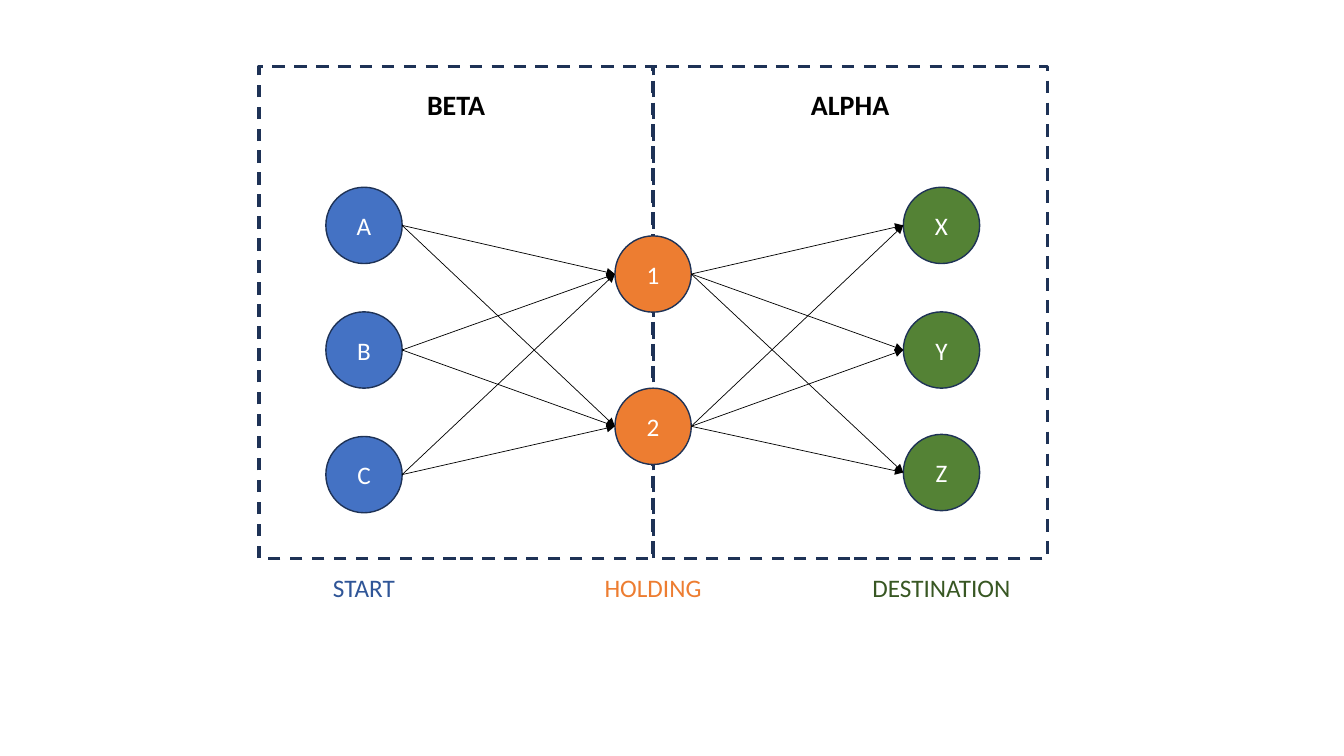
import pptx
import pptx.util
import pptx.dml.color
import pptx.enum.dml
import pptx.enum.shapes
import pptx.enum.text
import pptx.oxml
import pptx.oxml.ns
from pptx.util import Pt

FONT = "Calibri"
NAVY, BLACK, WHITE = "1E3256", "000000", "FFFFFF"
DIAMETER = 54.5
PANEL_LEFT, PANEL_TOP, PANEL_WIDTH, PANEL_HEIGHT = 185, 47.5, 281.5, 351.5

PANELS = ["BETA", "ALPHA"]
STAGES = [
    {"label": "START", "center": 260, "fill": "4472C4", "color": "2F5597",
     "label_width": 61, "nodes": [("A", 161), ("B", 250), ("C", 339)]},
    {"label": "HOLDING", "center": 466.5, "fill": "ED7D31", "color": "ED7D31",
     "label_width": 150, "nodes": [("1", 195.75), ("2", 304.5)]},
    {"label": "DESTINATION", "center": 672.5, "fill": "548235", "color": "385723",
     "label_width": 125, "nodes": [("X", 161), ("Y", 250), ("Z", 337.5)]},
]


def rgb(value):
    return pptx.dml.color.RGBColor.from_string(value)


def write(shape, text, size, color, bold=False):
    frame = shape.text_frame
    frame.text = text
    frame.word_wrap = True
    frame.margin_left = frame.margin_right = 0
    paragraph = frame.paragraphs[0]
    paragraph.alignment = pptx.enum.text.PP_ALIGN.CENTER
    font = paragraph.runs[0].font
    font.name, font.size, font.bold = FONT, Pt(size), bold
    font.color.rgb = rgb(color)


def add_outlined(slide, kind, left, top, width, height, line_width):
    shape = slide.shapes.add_shape(kind, Pt(left), Pt(top), Pt(width), Pt(height))
    shape.shadow.inherit = False
    shape.line.color.rgb = rgb(NAVY)
    shape.line.width = Pt(line_width)
    return shape


def add_panel(slide, left):
    panel = add_outlined(slide, pptx.enum.shapes.MSO_SHAPE.RECTANGLE,
                         left, PANEL_TOP, PANEL_WIDTH, PANEL_HEIGHT, 2.25)
    panel.fill.background()
    panel.line.dash_style = pptx.enum.dml.MSO_LINE.DASH


def add_node(slide, name, x, y, fill):
    node = add_outlined(slide, pptx.enum.shapes.MSO_SHAPE.OVAL,
                        x - DIAMETER / 2, y - DIAMETER / 2, DIAMETER, DIAMETER, 1)
    node.fill.solid()
    node.fill.fore_color.rgb = rgb(fill)
    write(node, name, 18, WHITE)
    node.text_frame.vertical_anchor = pptx.enum.text.MSO_ANCHOR.MIDDLE


def add_arrow(slide, x1, y1, x2, y2):
    arrow = slide.shapes.add_connector(pptx.enum.shapes.MSO_CONNECTOR.STRAIGHT,
                                       Pt(x1), Pt(y1), Pt(x2), Pt(y2))
    arrow.line.color.rgb = rgb(BLACK)
    arrow.line.width = Pt(0.5)
    head = pptx.oxml.parse_xml(f'<a:tailEnd {pptx.oxml.ns.nsdecls("a")} type="triangle"/>')
    arrow.line._get_or_add_ln().append(head)
    effects = pptx.oxml.parse_xml(f'<a:effectLst {pptx.oxml.ns.nsdecls("a")}/>')
    arrow._element.spPr.append(effects)


def add_label(slide, text, center, top, width, height, size, color, bold=False):
    box = slide.shapes.add_textbox(Pt(center - width / 2), Pt(top), Pt(width), Pt(height))
    write(box, text, size, color, bold)


def main():
    presentation = pptx.Presentation()
    presentation.slide_width, presentation.slide_height = Pt(960), Pt(540)
    slide = presentation.slides.add_slide(presentation.slide_layouts[6])

    for index in reversed(range(len(PANELS))):
        add_panel(slide, PANEL_LEFT + index * PANEL_WIDTH)

    for stage in STAGES:
        for name, y in stage["nodes"]:
            add_node(slide, name, stage["center"], y, stage["fill"])

    for source, target in zip(STAGES, STAGES[1:]):
        for _, y1 in source["nodes"]:
            for _, y2 in target["nodes"]:
                add_arrow(slide, source["center"] + DIAMETER / 2, y1,
                          target["center"] - DIAMETER / 2, y2)

    for index, title in enumerate(PANELS):
        center = PANEL_LEFT + (index + 0.5) * PANEL_WIDTH
        add_label(slide, title, center, 59, 110, 31.5, 20, BLACK, True)

    for stage in STAGES:
        add_label(slide, stage["label"], stage["center"], 405,
                  stage["label_width"], 29, 18, stage["color"])

    presentation.save("out.pptx")


if __name__ == "__main__":
    main()
